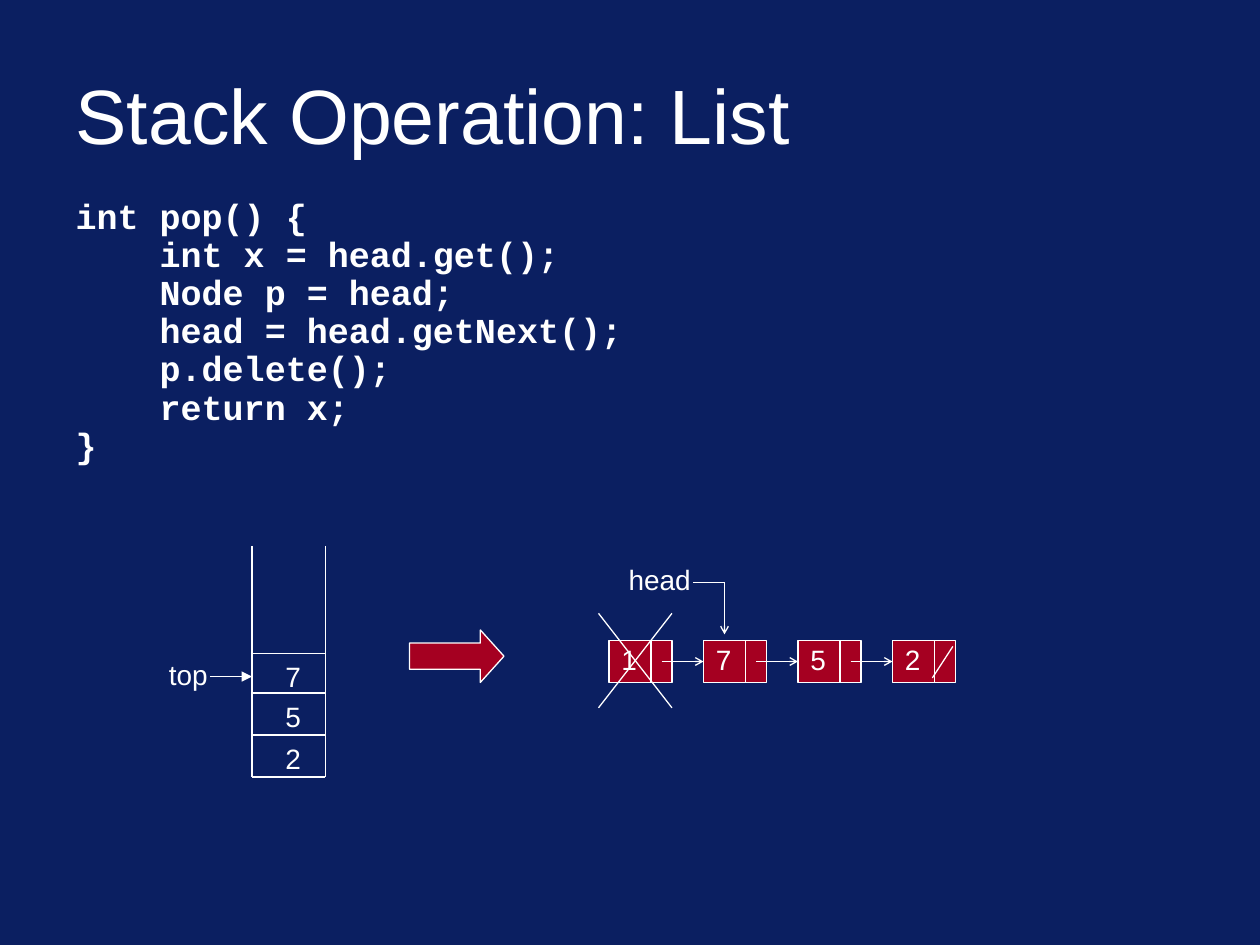
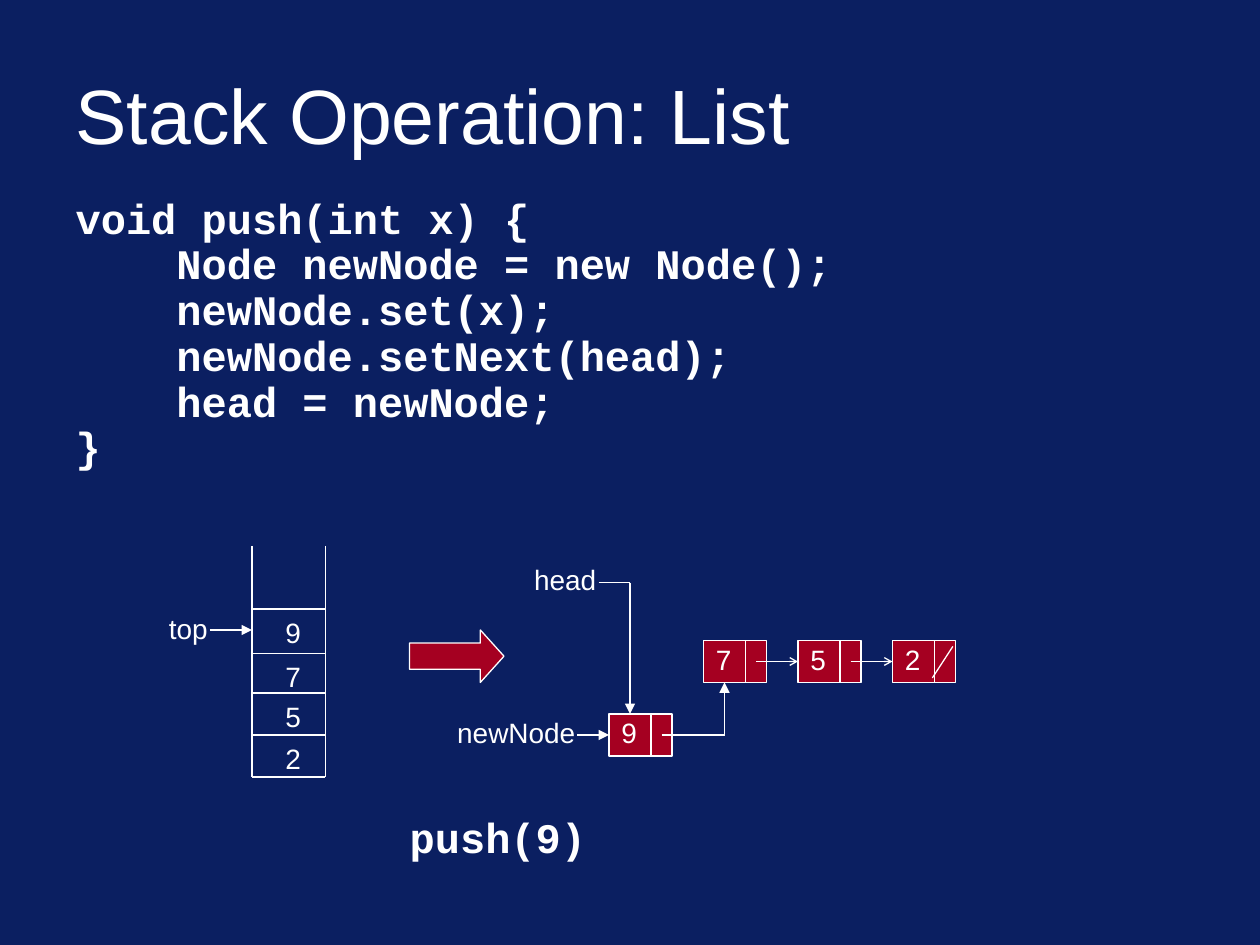
"""Build two slides that show stack operations on a linked list."""
import pptx
import pptx.dml.color
import pptx.enum.shapes
import pptx.enum.text
import pptx.oxml
import pptx.oxml.ns
import pptx.util

Pt = pptx.util.Pt
NAVY = pptx.dml.color.RGBColor(0x0B, 0x1F, 0x61)
CRIMSON = pptx.dml.color.RGBColor(0xA5, 0x00, 0x21)
WHITE = pptx.dml.color.RGBColor(0xFF, 0xFF, 0xFF)
TEXT_FONT = "Arial"
CODE_FONT = "Courier New"
NAMESPACE = pptx.oxml.ns.nsdecls("a")
HEAD_SIZES = {"arrow": "sm", "triangle": "med"}

STACK_LEFT, STACK_RIGHT = 144, 186
STACK_TOP, STACK_BOTTOM = 312, 444
CELL_TOPS = [420, 396, 373.5, 348]
LIST_LEFT, LIST_TOP = 348, 366
NODE_WIDTH, NODE_HEIGHT, NODE_PITCH = 36, 24, 54
VALUE_WIDTH = 24
NEW_NODE_TOP = 408
HEAD_LINE_Y = 333


class StackDeck:
    def __init__(self):
        self.presentation = pptx.Presentation()
        self.presentation.slide_width = Pt(720)
        self.presentation.slide_height = Pt(540)
        background = self.presentation.slide_master.background.fill
        background.solid()
        background.fore_color.rgb = NAVY
        self.slide = None

    def add_slide(self, title, code, code_size):
        layout = self.presentation.slide_layouts[1]
        self.slide = self.presentation.slides.add_slide(layout)
        self.title(title)
        self.code(code, code_size)

    def run(self, paragraph, text, size, font_name=TEXT_FONT, bold=False):
        run = paragraph.add_run()
        run.text = text
        run.font.name = font_name
        run.font.size = Pt(size)
        run.font.bold = bold
        run.font.color.rgb = WHITE

    def place(self, shape, left, top, width, height):
        shape.left, shape.top = Pt(left), Pt(top)
        shape.width, shape.height = Pt(width), Pt(height)
        shape.text_frame.auto_size = pptx.enum.text.MSO_AUTO_SIZE.NONE

    def title(self, text):
        shape = self.slide.shapes.title
        self.place(shape, 36, 28.8, 648, 72)
        shape.text_frame.vertical_anchor = pptx.enum.text.MSO_ANCHOR.MIDDLE
        paragraph = shape.text_frame.paragraphs[0]
        paragraph.alignment = pptx.enum.text.PP_ALIGN.LEFT
        self.run(paragraph, text, 44)

    def code(self, lines, size):
        shape = self.slide.placeholders[1]
        self.place(shape, 36, 114, 648, 186)
        frame = shape.text_frame
        for index, line in enumerate(lines):
            paragraph = frame.add_paragraph() if index else frame.paragraphs[0]
            properties = paragraph._p.get_or_add_pPr()
            properties.set("marL", str(Pt(27)))
            properties.set("indent", str(Pt(-27)))
            properties.append(pptx.oxml.parse_xml(f'<a:buNone {NAMESPACE}/>'))
            paragraph.line_spacing = 0.7
            paragraph.space_before = Pt(size / 4 if index else 0)
            self.run(paragraph, line, size, CODE_FONT, True)

    def text_box(self, text, left, top, width, height=26.6, size=16,
                 font_name=TEXT_FONT, bold=False, centered=True):
        shape = self.slide.shapes.add_textbox(
            Pt(left), Pt(top), Pt(width), Pt(height))
        shape.text_frame.word_wrap = False
        paragraph = shape.text_frame.paragraphs[0]
        alignments = pptx.enum.text.PP_ALIGN
        paragraph.alignment = alignments.CENTER if centered else alignments.LEFT
        self.run(paragraph, text, size, font_name, bold)

    def line(self, x1, y1, x2, y2, arrow=None):
        connector = self.slide.shapes.add_connector(
            pptx.enum.shapes.MSO_CONNECTOR.STRAIGHT,
            Pt(x1), Pt(y1), Pt(x2), Pt(y2))
        connector.line.color.rgb = WHITE
        connector.line.width = Pt(0.75)
        properties = connector._element.spPr
        if arrow:
            size = HEAD_SIZES[arrow]
            outline = properties.find(pptx.oxml.ns.qn("a:ln"))
            outline.append(pptx.oxml.parse_xml(
                f'<a:tailEnd {NAMESPACE} type="{arrow}" w="{size}" len="{size}"/>'))
        properties.append(pptx.oxml.parse_xml(f'<a:effectLst {NAMESPACE}/>'))

    def filled_shape(self, kind, left, top, width, height):
        shape = self.slide.shapes.add_shape(
            kind, Pt(left), Pt(top), Pt(width), Pt(height))
        shape.shadow.inherit = False
        shape.fill.solid()
        shape.fill.fore_color.rgb = CRIMSON
        shape.line.color.rgb = WHITE
        shape.line.width = Pt(0.75)
        return shape

    def stack(self, values, pointer_y):
        for x in (STACK_LEFT, STACK_RIGHT):
            self.line(x, STACK_TOP, x, STACK_BOTTOM)
        self.line(STACK_LEFT, STACK_BOTTOM, STACK_RIGHT, STACK_BOTTOM)
        for value, top in zip(values, CELL_TOPS):
            self.line(STACK_LEFT, top, STACK_RIGHT, top)
            self.text_box(value, 154, top, 27)
        self.text_box("top", 85.6, pointer_y - 14.2, 44)
        self.line(120, pointer_y, STACK_LEFT, pointer_y, "triangle")

    def block_arrow(self):
        kind = pptx.enum.shapes.MSO_SHAPE.RIGHT_ARROW
        shape = self.filled_shape(kind, 234, 360, 54, 30)
        shape.adjustments[0] = 0.5
        shape.adjustments[1] = 0.45

    def node(self, value, left, top):
        kind = pptx.enum.shapes.MSO_SHAPE.RECTANGLE
        self.filled_shape(kind, left, top, NODE_WIDTH, NODE_HEIGHT)
        divider = left + VALUE_WIDTH
        self.line(divider, top, divider, top + NODE_HEIGHT)
        self.text_box(value, left, top - 2.4, VALUE_WIDTH, centered=False)

    def linked_list(self, values, first_left):
        for index, value in enumerate(values):
            left = first_left + index * NODE_PITCH
            self.node(value, left, LIST_TOP)
            if index < len(values) - 1:
                middle = LIST_TOP + NODE_HEIGHT / 2
                self.line(left + 30, middle, left + NODE_PITCH, middle, "arrow")
            else:
                self.line(left + 34.5, LIST_TOP + 3.4, left + 22.8, LIST_TOP + 21.4)

    def head_pointer(self, node_left, tip_y, arrow):
        x = node_left + 12
        self.text_box("head", node_left - 54, HEAD_LINE_Y - 14.8, 58)
        self.line(node_left - 6, HEAD_LINE_Y, x, HEAD_LINE_Y)
        self.line(x, HEAD_LINE_Y, x, tip_y, arrow)

    def cross_out(self, left, top, right, bottom):
        self.line(right, top, left, bottom)
        self.line(left, top, right, bottom)


def build_pop(deck):
    deck.add_slide("Stack Operation: List", [
        "int pop() {",
        "    int x = head.get();",
        "    Node p = head;",
        "    head = head.getNext();",
        "    p.delete();",
        "    return x;",
        "}"], 20)
    deck.stack("257", 386.6)
    deck.block_arrow()
    deck.linked_list("1752", LIST_LEFT)
    deck.head_pointer(LIST_LEFT + NODE_PITCH, 362.5, "arrow")
    deck.cross_out(342, 350.5, 384, 404.5)


def build_push(deck):
    deck.add_slide("Stack Operation: List", [
        "void push(int x) {",
        "    Node newNode = new Node();",
        "    newNode.set(x);",
        "    newNode.setNext(head);",
        "    head = newNode;",
        "}"], 24)
    deck.stack("2579", 360)
    deck.block_arrow()
    second_left = LIST_LEFT + NODE_PITCH
    deck.linked_list("752", second_left)
    deck.node("9", LIST_LEFT, NEW_NODE_TOP)
    deck.head_pointer(LIST_LEFT, NEW_NODE_TOP, "triangle")
    middle = NEW_NODE_TOP + NODE_HEIGHT / 2
    deck.text_box("newNode", 248, NEW_NODE_TOP - 2.4, 94)
    deck.line(330, middle, LIST_LEFT, middle, "triangle")
    link_x = second_left + 12
    deck.line(LIST_LEFT + 30, middle, link_x, middle)
    deck.line(link_x, middle, link_x, LIST_TOP + NODE_HEIGHT, "triangle")
    deck.text_box("push(9)", 222, 460, 125, 36, 24, CODE_FONT, True)


def main():
    deck = StackDeck()
    build_pop(deck)
    build_push(deck)
    deck.presentation.save("out.pptx")


if __name__ == "__main__":
    main()
